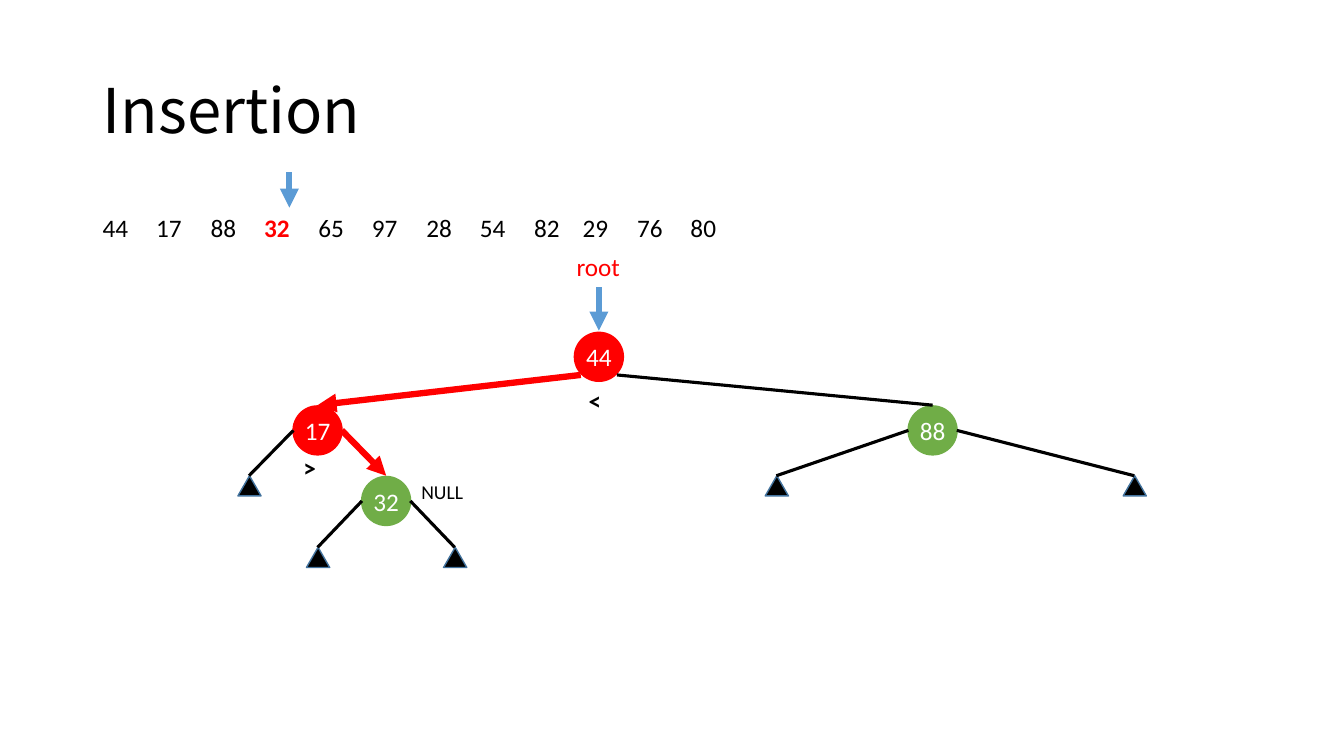
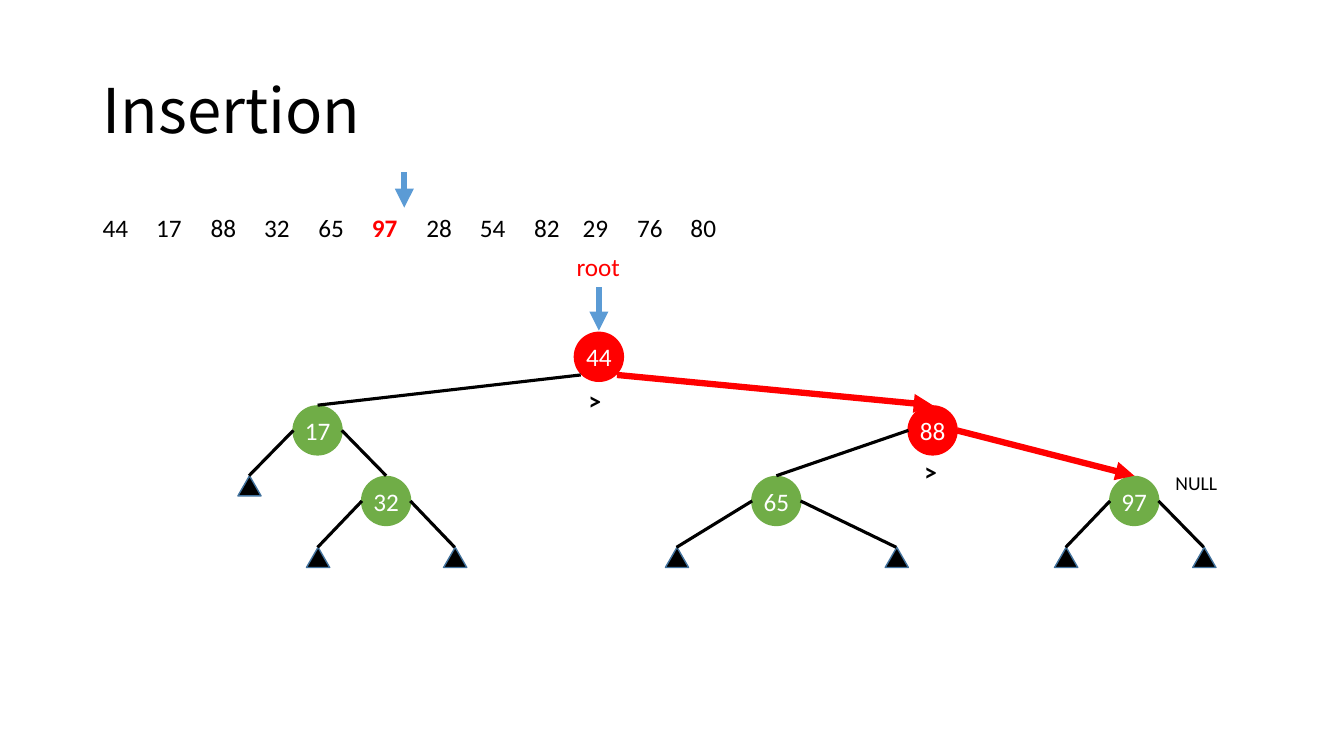
import pptx
import pptx.util
from lxml import etree
from pptx.dml.color import RGBColor
from pptx.enum.shapes import MSO_CONNECTOR, MSO_SHAPE
from pptx.enum.text import MSO_ANCHOR, MSO_AUTO_SIZE, PP_ALIGN
from pptx.oxml.ns import qn

PX = 9144  # 100 px to the inch
BLACK = RGBColor(0x00, 0x00, 0x00)
WHITE = RGBColor(0xFF, 0xFF, 0xFF)
RED = RGBColor(0xFF, 0x00, 0x00)
GREEN = RGBColor(0x70, 0xAD, 0x47)
BLUE = RGBColor(0x5B, 0x9B, 0xD5)
DARK_BLUE = RGBColor(0x43, 0x73, 0x9E)
BODY_FONT = "Calibri"
TITLE_FONT = "Noto Sans CJK SC"

KEYS = [44, 17, 88, 32, 65, 97, 28, 54, 82, 29, 76, 80]

# A slot is the way down from the root: L for left, R for right.
SLOT_X = {
    "": 594,
    "L": 315, "R": 925,
    "LL": 247, "LR": 383, "RL": 770, "RR": 1125,
    "LRL": 315, "LRR": 451, "RLL": 671, "RLR": 889, "RRL": 1057, "RRR": 1194,
}
LEVEL_TOP = [329, 402, 472, 543]
NODE_SIZE = 50
LEAF_WIDTH, LEAF_HEIGHT = 23, 20

STEPS = [
    {
        "key": 32, "pointer_x": 287, "route": "LR",
        "tree": {"": 44, "L": 17, "R": 88, "LR": 32},
        "signs": [("<", 574, 377), (">", 291, 444)],
        "null_at": (408, 471),
    },
    {
        "key": 97, "pointer_x": 401, "route": "RR",
        "tree": {"": 44, "L": 17, "R": 88, "LR": 32, "RL": 65, "RR": 97},
        "signs": [(">", 574, 377), (">", 907, 448)],
        "null_at": (1156, 462),
    },
]


def px(*lengths):
    return [pptx.util.Emu(length * PX) for length in lengths]


def style(span, size, color, bold=False, font=BODY_FONT):
    span.font.name = font
    span.font.size = pptx.util.Pt(size)
    span.font.color.rgb = color
    span.font.bold = bold


def add_label(page, text, place, size=18, color=BLACK, bold=False):
    box = page.shapes.add_textbox(*px(*place))
    frame = box.text_frame
    frame.word_wrap = False
    frame.auto_size = MSO_AUTO_SIZE.SHAPE_TO_FIT_TEXT
    frame.text = text
    style(frame.paragraphs[0].runs[0], size, color, bold)


def add_title(page, text):
    frame = page.shapes.add_textbox(*px(92, 40, 1150, 145)).text_frame
    frame.word_wrap = True
    frame.vertical_anchor = MSO_ANCHOR.MIDDLE
    frame.text = text
    para = frame.paragraphs[0]
    para.line_spacing = 0.9
    style(para.runs[0], 44, BLACK, font=TITLE_FONT)


def add_key_row(page, current):
    frame = page.shapes.add_textbox(*px(92, 206, 678, 40)).text_frame
    frame.word_wrap = True
    para = frame.paragraphs[0]
    tabs = etree.SubElement(para._p.get_or_add_pPr(), qn("a:tabLst"))
    for index, key in enumerate(KEYS):
        if index:
            stop = index * 107 // 2 - (5 if index > 8 else 0)
            etree.SubElement(tabs, qn("a:tab"), pos=str(stop * PX), algn="l")
        span = para.add_run()
        span.text = f"\t{key}" if index else str(key)
        style(span, 18, RED if key == current else BLACK, key == current)


def add_line(page, start, end, color=BLACK, width=2.25, arrow=False):
    line = page.shapes.add_connector(MSO_CONNECTOR.STRAIGHT, *px(*start, *end))
    line.line.color.rgb = color
    line.line.width = pptx.util.Pt(width)
    if arrow:
        etree.SubElement(line.line._get_or_add_ln(), qn("a:tailEnd"), type="triangle")
    etree.SubElement(line._element.spPr, qn("a:effectLst"))


def add_solid(page, kind, place, color):
    shape = page.shapes.add_shape(kind, *px(*place))
    shape.shadow.inherit = False
    shape.fill.solid()
    shape.fill.fore_color.rgb = color
    return shape


def add_node(page, slot, key, color):
    left = SLOT_X[slot] - NODE_SIZE // 2
    place = (left, LEVEL_TOP[len(slot)], NODE_SIZE, NODE_SIZE)
    node = add_solid(page, MSO_SHAPE.OVAL, place, color)
    node.line.fill.background()
    frame = node.text_frame
    frame.margin_left = frame.margin_right = frame.margin_top = frame.margin_bottom = 0
    frame.word_wrap = False
    frame.vertical_anchor = MSO_ANCHOR.MIDDLE
    frame.text = str(key)
    frame.paragraphs[0].alignment = PP_ALIGN.CENTER
    style(frame.paragraphs[0].runs[0], 18, WHITE)


def add_leaf(page, slot):
    """Draw the triangle that stands for an empty subtree."""
    left = SLOT_X[slot] - LEAF_WIDTH // 2
    place = (left, LEVEL_TOP[len(slot)], LEAF_WIDTH, LEAF_HEIGHT)
    leaf = add_solid(page, MSO_SHAPE.ISOSCELES_TRIANGLE, place, BLACK)
    leaf.line.color.rgb = DARK_BLUE
    leaf.line.width = pptx.util.Pt(1)


def edge_ends(child):
    parent, side = child[:-1], child[-1]
    reach, drop = (24, 25) if parent else (18, 43)
    start_x = SLOT_X[parent] + (reach if side == "R" else -reach)
    start = (start_x, LEVEL_TOP[len(parent)] + drop)
    return start, (SLOT_X[child], LEVEL_TOP[len(child)])


def add_tree(page, tree, route):
    for slot, key in tree.items():
        visited = slot != route and route.startswith(slot)
        add_node(page, slot, key, RED if visited else GREEN)
    children = [slot + side for slot in tree for side in "LR"]
    for child in children:
        if child not in tree:
            add_leaf(page, child)
        if not route.startswith(child):
            add_line(page, *edge_ends(child))
    for depth in range(1, len(route) + 1):
        add_line(page, *edge_ends(route[:depth]), RED, 4.5, arrow=True)


def add_step(deck, step):
    page = deck.slides.add_slide(deck.slide_layouts[6])
    add_title(page, "Insertion")
    add_key_row(page, step["key"])
    for x, top, bottom in [(step["pointer_x"], 171, 206), (SLOT_X[""], 285, 328)]:
        add_line(page, (x, top), (x, bottom), BLUE, 4.5, arrow=True)
    add_label(page, "root", (562, 244, 64, 40), color=RED)
    add_tree(page, step["tree"], step["route"])
    for sign, left, top in step["signs"]:
        add_label(page, sign, (left, top, 37, 40), bold=True)
    add_label(page, "NULL", (*step["null_at"], 78, 34), size=14)


def main():
    deck = pptx.Presentation()
    deck.slide_width, deck.slide_height = px(1333, 750)
    for step in STEPS:
        add_step(deck, step)
    deck.save("out.pptx")


if __name__ == "__main__":
    main()
